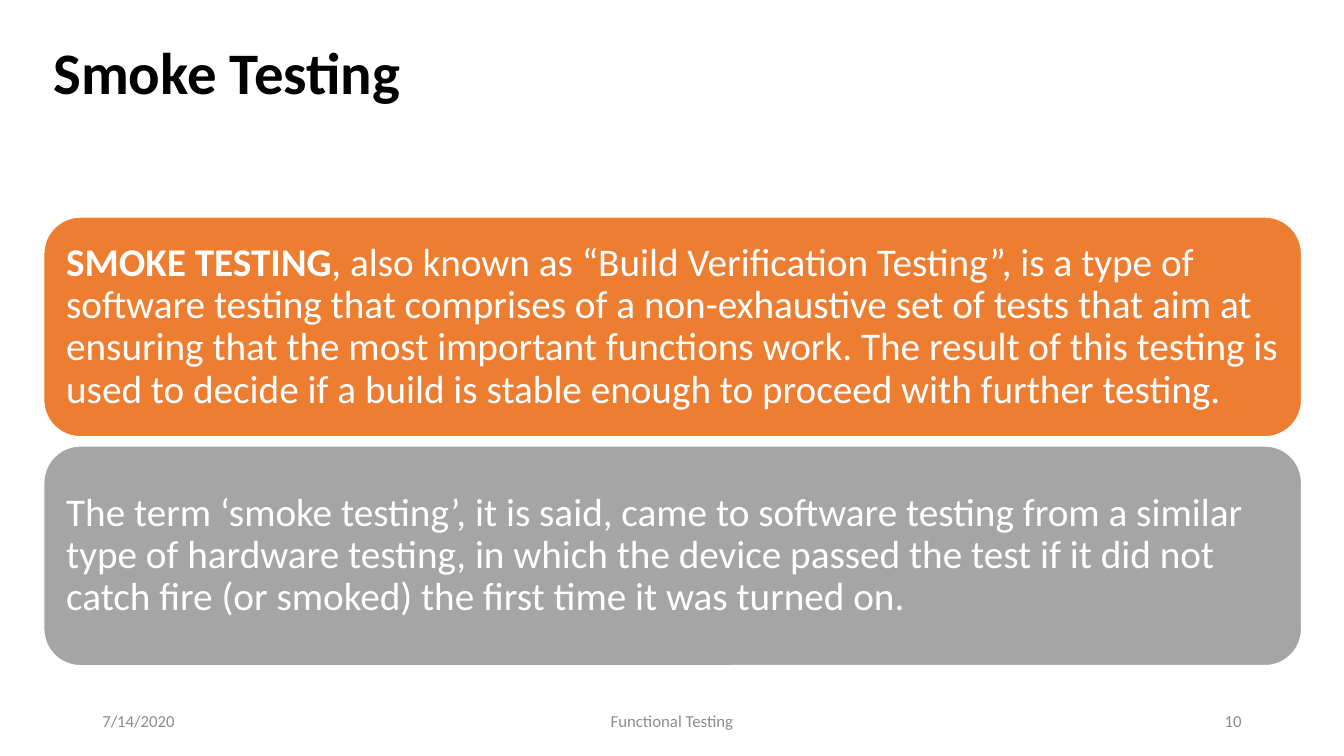
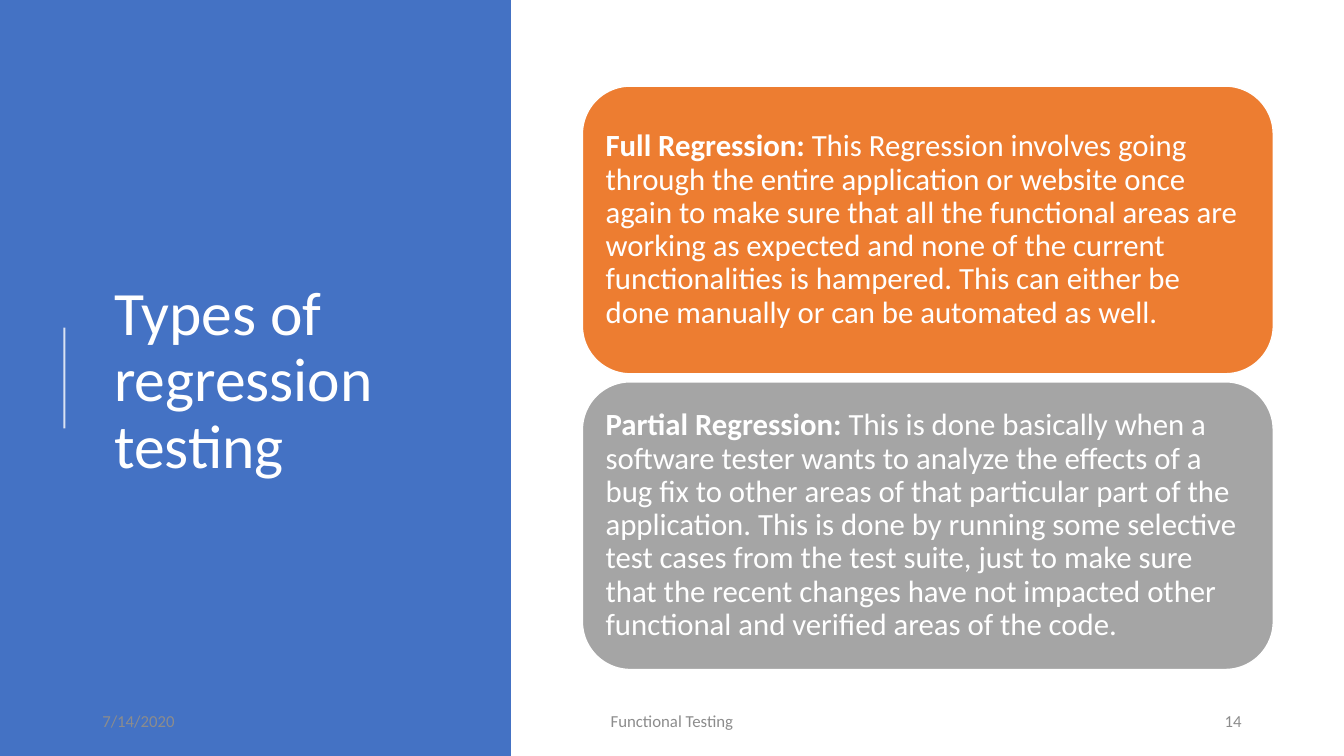
from pptx import Presentation
from pptx.dml.color import RGBColor
from pptx.enum import shapes as sh, text as tx
from pptx.oxml.ns import qn
from pptx.util import Pt
from lxml import etree

# Content: runs are (words, bold)
SMOKE = [
    [("SMOKE TESTING", True),
     (", also known as “Build Verification Testing”, is a type of software "
      "testing that comprises of a non-exhaustive set of tests that aim at "
      "ensuring that the most important functions work. The result of this "
      "testing is used to decide if a build is stable enough to proceed with "
      "further testing.", False)],
    [("The term ‘smoke testing’, it is said, came to software testing from a "
      "similar type of hardware testing, in which the device passed the test "
      "if it did not catch fire (or smoked) the first time it was turned on.",
      False)],
]
TYPES = [
    [("Full Regression:", True),
     ("\u00a0This Regression involves going through the entire application or "
      "website once again to make sure that all the functional areas are "
      "working as expected and none of the current functionalities is "
      "hampered. This can either be done manually or can be automated as "
      "well.", False)],
    [("Partial Regression:", True),
     ("\u00a0This is done basically when a software tester wants to analyze "
      "the effects of a bug fix to other areas of that particular part of the "
      "application. This is done by running some selective test cases from "
      "the test suite, just to make sure that the recent changes have not "
      "impacted other functional and verified areas of the code.", False)],
]
DATE, TOPIC = "7/14/2020", "Functional Testing"

# Shared look
FONT = "Calibri"
WHITE, BLACK, BLUE, GREY = "FFFFFF", "000000", "4472C4", "8C8C8C"
FILLS = ["ED7D31", "A5A5A5"]
LEFT, MID, RIGHT = (tx.PP_ALIGN.LEFT, tx.PP_ALIGN.CENTER, tx.PP_ALIGN.RIGHT)
TOP, CENTER = tx.MSO_ANCHOR.TOP, tx.MSO_ANCHOR.MIDDLE
KIND = sh.MSO_SHAPE

deck = Presentation()
deck.slide_width, deck.slide_height = Pt(960), Pt(540)


def color(code):
    return RGBColor.from_string(code)


def assign(thing, **vals):
    for name, val in vals.items():
        setattr(thing, name, val)


def write(shape, runs, size, ink, align=LEFT, anchor=CENTER, lines=1.0,
          side=7.2, edge=3.6):
    frame = shape.text_frame
    assign(frame, word_wrap=True, vertical_anchor=anchor,
           margin_left=Pt(side), margin_right=Pt(side),
           margin_top=Pt(edge), margin_bottom=Pt(edge))
    para = frame.paragraphs[0]
    assign(para, alignment=align, line_spacing=lines)
    for words, bold in runs:
        run = para.add_run()
        run.text = words
        assign(run.font, name=FONT, size=Pt(size), bold=bold)
        run.font.color.rgb = color(ink)


def label(page, box, *args, **look):
    write(page.shapes.add_textbox(*map(Pt, box)), *args, **look)


def block(page, kind, box, fill, line=None):
    shape = page.shapes.add_shape(kind, *map(Pt, box))
    shape.shadow.inherit = False
    shape.fill.solid()
    shape.fill.fore_color.rgb = color(fill)
    if line:
        shape.line.color.rgb = color(line)
        shape.line.width = Pt(1)
    else:
        shape.line.fill.background()
    return shape


def rule(page, x, start, end):
    line = page.shapes.add_connector(
        sh.MSO_CONNECTOR.STRAIGHT, Pt(x), Pt(start), Pt(x), Pt(end))
    line.line.color.rgb = color(WHITE)
    line.line.width = Pt(1.5)
    props = line._element.spPr
    tint = props.find(".//" + qn("a:srgbClr"))
    etree.SubElement(tint, qn("a:alpha")).set("val", "80000")
    etree.SubElement(props, qn("a:effectLst"))


def cards(page, items, box, pitch, size):
    x, y, wide, high = box
    for i, (runs, fill) in enumerate(zip(items, FILLS)):
        card = block(page, KIND.ROUNDED_RECTANGLE,
                     (x, y + i * pitch, wide, high), fill, WHITE)
        inset = size * 0.3
        write(card, runs, size, WHITE, lines=0.9, side=inset, edge=inset)


def footer(page, number):
    for words, x, wide, align in [(DATE, 66, 216, LEFT),
                                  (TOPIC, 318, 324, MID),
                                  (str(number), 678, 216, RIGHT)]:
        label(page, (x, 500.5, wide, 28.75), [(words, False)], 12, GREY,
              align=align)


def new_page():
    return deck.slides.add_slide(deck.slide_layouts[6])


# Smoke testing
page = new_page()
label(page, (31, 25, 898.5, 104.5), [("Smoke Testing", True)], 42, BLACK,
      anchor=TOP, lines=0.9, edge=6)
cards(page, SMOKE, (31.25, 155, 898.5, 157), 163.5, 28)
footer(page, 10)

# Types of regression testing
page = new_page()
block(page, KIND.RECTANGLE, (0, 0, 365, 540), BLUE)
label(page, (74.5, 56, 265.5, 433.5), [("Types of regression testing", False)],
      44, WHITE, lines=0.9)
rule(page, 46, 306, 234)
cards(page, TYPES, (416, 61.5, 493.5, 205.5), 211.25, 22)
footer(page, 14)

deck.save("out.pptx")
